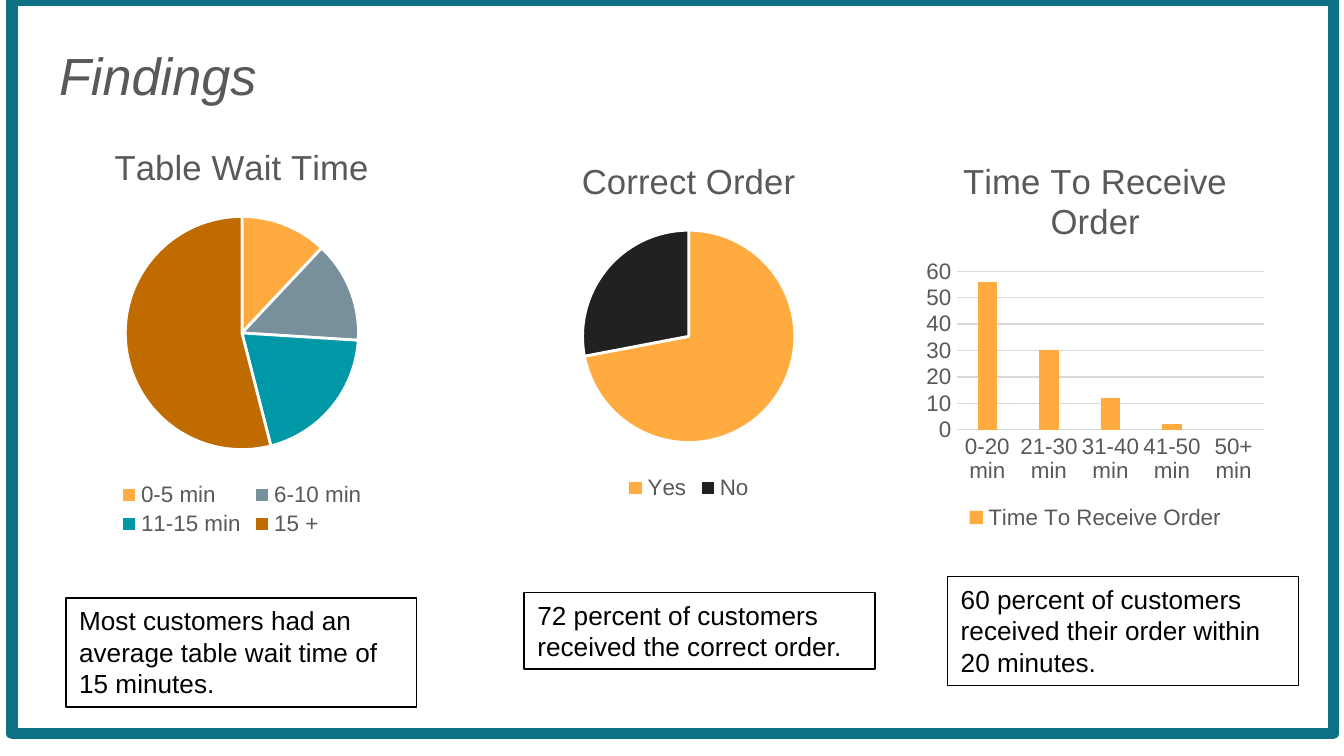
from pptx import Presentation
from pptx.chart.data import CategoryChartData
from pptx.dml.color import RGBColor
from pptx.enum.chart import XL_CHART_TYPE, XL_LEGEND_POSITION, XL_TICK_MARK
from pptx.enum.shapes import MSO_SHAPE
from pptx.enum.text import MSO_ANCHOR, MSO_AUTO_SIZE, PP_ALIGN
from pptx.util import Inches, Pt

PIE, COLUMN = XL_CHART_TYPE.PIE, XL_CHART_TYPE.COLUMN_CLUSTERED
BOTTOM, NO_TICK = XL_LEGEND_POSITION.BOTTOM, XL_TICK_MARK.NONE
RECTANGLE, TOP, LEFT = MSO_SHAPE.RECTANGLE, MSO_ANCHOR.TOP, PP_ALIGN.LEFT
GROW, NO_FIT = MSO_AUTO_SIZE.SHAPE_TO_FIT_TEXT, MSO_AUTO_SIZE.NONE

WHITE = RGBColor(0xFF, 0xFF, 0xFF)
BLACK = RGBColor(0x00, 0x00, 0x00)
GRAY = RGBColor(0x59, 0x59, 0x59)
GRID_GRAY = RGBColor(0xD9, 0xD9, 0xD9)
FRAME_TEAL = RGBColor(0x0C, 0x71, 0x82)
ORANGE = RGBColor(0xFF, 0xAB, 0x40)
SLATE = RGBColor(0x78, 0x90, 0x9C)
TEAL = RGBColor(0x00, 0x97, 0xA7)
BROWN = RGBColor(0xBF, 0x6B, 0x00)
CHARCOAL = RGBColor(0x21, 0x21, 0x21)

SLIDE_WIDTH = Inches(10)
SLIDE_HEIGHT = SLIDE_WIDTH * 9 // 16
HEADING = "Findings"
HEADING_BOX = (0.34, 0.22, 9.32, 0.87)
FRAME_BOX = (0.09, 0, 9.83, 5.46)
FINDINGS = [
    {
        "title": "Table Wait Time", "kind": PIE, "box": (0.2, 0.91, 3.2, 3.12),
        "answers": {"0-5 min": 12, "6-10 min": 14, "11-15 min": 20, "15 +": 54},
        "colors": [ORANGE, SLATE, TEAL, BROWN],
        "caption": "Most customers had an average table wait time of 15 minutes.",
        "caption_box": (0.49, 4.45, 2.61, 0.81),
    },
    {
        "title": "Correct Order", "kind": PIE, "box": (3.41, 1.02, 3.43, 2.74),
        "answers": {"Yes": 72, "No": 28},
        "colors": [ORANGE, CHARCOAL],
        "caption": "72 percent of customers received the correct order.",
        "caption_box": (3.9, 4.41, 2.61, 0.57),
    },
    {
        "title": "Time To Receive Order", "kind": COLUMN, "box": (6.84, 1.02, 2.62, 2.96),
        "answers": {"0-20 min": 56, "21-30 min": 30, "31-40 min": 12,
                    "41-50 min": 2, "50+ min": None},
        "colors": [ORANGE],
        "caption": "60 percent of customers received their order within 20 minutes.",
        "caption_box": (7.05, 4.29, 2.61, 0.81),
    },
]

HEADING_FONT = {"name": "Arial", "size": Pt(28), "italic": True, "bold": False}
CHART_TITLE_FONT = {"name": "Arial", "size": Pt(18.6), "bold": False}
LABEL_FONT = {"name": "Arial", "size": Pt(12), "bold": False}
CAPTION_FONT = {"name": "Arial", "size": Pt(14)}
HEADING_FRAME = {"word_wrap": True, "auto_size": NO_FIT, "vertical_anchor": TOP,
                 "margin_left": Inches(0.1), "margin_right": Inches(0.1),
                 "margin_top": Inches(0.1), "margin_bottom": Inches(0.1)}
CAPTION_FRAME = {"word_wrap": True, "auto_size": GROW, "vertical_anchor": TOP}


def apply(target, values):
    for attribute, value in values.items():
        setattr(target, attribute, value)


def style_font(font, values, color):
    apply(font, values)
    font.color.rgb = color


def style_line(line, color, width):
    line.color.rgb = color
    line.width = Pt(width)


def inches(box):
    return [Inches(value) for value in box]


def add_outline(slide, box, color, width):
    outline = slide.shapes.add_shape(RECTANGLE, *inches(box))
    outline.shadow.inherit = False
    outline.fill.background()
    style_line(outline.line, color, width)
    return outline


def style_slices(plot, colors):
    for index, color in enumerate(colors):
        wedge = plot.series[0].points[index].format
        wedge.fill.solid()
        wedge.fill.fore_color.rgb = color
        style_line(wedge.line, WHITE, 1.5)


def style_columns(chart, color):
    plot = chart.plots[0]
    apply(plot, {"gap_width": 219, "overlap": -27})
    columns = plot.series[0].format.fill
    columns.solid()
    columns.fore_color.rgb = color
    for axis in (chart.category_axis, chart.value_axis):
        apply(axis, {"major_tick_mark": NO_TICK, "minor_tick_mark": NO_TICK})
        style_font(axis.tick_labels.font, LABEL_FONT, GRAY)
    style_line(chart.category_axis.format.line, GRID_GRAY, 0.75)
    chart.value_axis.format.line.fill.background()
    style_line(chart.value_axis.major_gridlines.format.line, GRID_GRAY, 0.75)


def add_finding_chart(slide, finding):
    data = CategoryChartData()
    data.categories = list(finding["answers"])
    data.add_series(finding["title"], list(finding["answers"].values()))
    chart = slide.shapes.add_chart(finding["kind"], *inches(finding["box"]), data).chart
    style_font(chart.font, {"name": "Arial", "size": Pt(10)}, BLACK)

    chart_title = chart.chart_title.text_frame
    chart_title.text = finding["title"]
    style_font(chart_title.paragraphs[0].runs[0].font, CHART_TITLE_FONT, GRAY)

    chart.has_legend = True
    apply(chart.legend, {"position": BOTTOM, "include_in_layout": False})
    style_font(chart.legend.font, LABEL_FONT, GRAY)

    is_pie = finding["kind"] == PIE
    chart.plots[0].vary_by_categories = is_pie
    if is_pie:
        style_slices(chart.plots[0], finding["colors"])
    else:
        style_columns(chart, finding["colors"][0])


def add_caption(slide, finding):
    caption = add_outline(slide, finding["caption_box"], BLACK, 0.75)
    apply(caption.text_frame, CAPTION_FRAME)
    paragraph = caption.text_frame.paragraphs[0]
    paragraph.text = finding["caption"]
    paragraph.alignment = LEFT
    style_font(paragraph.runs[0].font, CAPTION_FONT, BLACK)


def add_heading(slide):
    heading = slide.shapes.title
    apply(heading, dict(zip(("left", "top", "width", "height"), inches(HEADING_BOX))))
    apply(heading.text_frame, HEADING_FRAME)
    paragraph = heading.text_frame.paragraphs[0]
    paragraph.text = HEADING
    apply(paragraph, {"alignment": LEFT, "line_spacing": 1.0, "space_before": Pt(0)})
    style_font(paragraph.runs[0].font, HEADING_FONT, GRAY)


def main():
    deck = Presentation()
    apply(deck, {"slide_width": SLIDE_WIDTH, "slide_height": SLIDE_HEIGHT})
    slide = deck.slides.add_slide(deck.slide_layouts[5])
    add_outline(slide, FRAME_BOX, FRAME_TEAL, 6)
    add_heading(slide)
    for finding in FINDINGS:
        add_finding_chart(slide, finding)
    for finding in FINDINGS:
        add_caption(slide, finding)
    deck.save("out.pptx")


if __name__ == "__main__":
    main()
